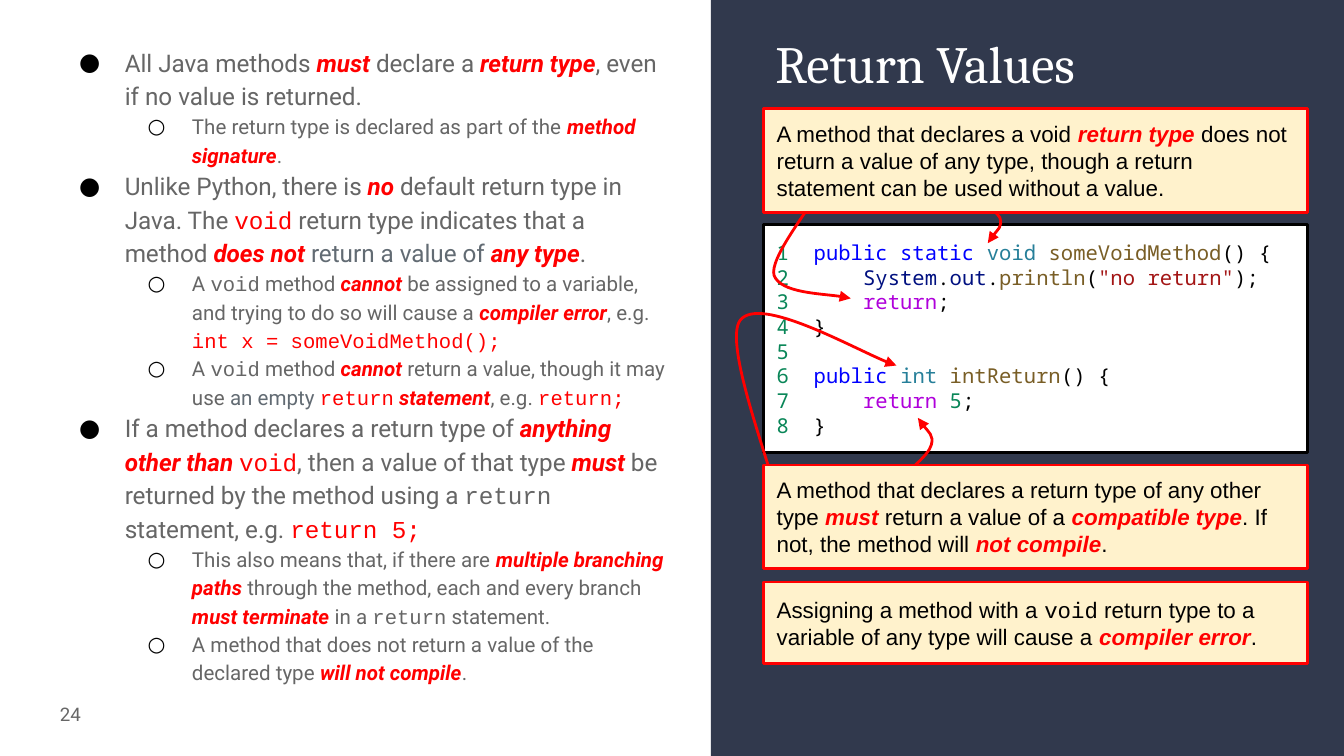
from lxml import etree
from pptx import Presentation
from pptx.dml.color import RGBColor
from pptx.enum.shapes import MSO_SHAPE
from pptx.enum.text import MSO_ANCHOR, MSO_AUTO_SIZE, PP_ALIGN
from pptx.oxml.ns import qn
from pptx.util import Inches, Pt

RECTANGLE = MSO_SHAPE.RECTANGLE
TOP, MIDDLE = MSO_ANCHOR.TOP, MSO_ANCHOR.MIDDLE
LEFT, RIGHT = PP_ALIGN.LEFT, PP_ALIGN.RIGHT
NO_AUTOFIT = MSO_AUTO_SIZE.NONE

WHITE = RGBColor(0xFF, 0xFF, 0xFF)
BLACK = RGBColor(0x00, 0x00, 0x00)
RED = RGBColor(0xFF, 0x00, 0x00)
GRAY = RGBColor(0x66, 0x66, 0x66)
SLATE = RGBColor(0x62, 0x6B, 0x73)
NAVY = RGBColor(0x31, 0x39, 0x4D)
CREAM = RGBColor(0xFF, 0xF2, 0xCC)
# Syntax colours
KEYWORD = RGBColor(0x00, 0x00, 0xFF)
TYPE = RGBColor(0x26, 0x7F, 0x99)
METHOD = RGBColor(0x79, 0x5E, 0x26)
NUMBER = RGBColor(0x09, 0x86, 0x58)
VARIABLE = RGBColor(0x00, 0x10, 0x80)
STRING = RGBColor(0xA3, 0x15, 0x15)
CONTROL = RGBColor(0xAF, 0x00, 0xDB)

TITLE_FONT, BODY_FONT, NOTE_FONT = "Cambria", "Roboto", "Arial"
INLINE_CODE_FONT, CODE_FONT = "Courier New", "Noto Sans Mono"

# Inline styles; a plain string is ordinary text
EM, CODE, RED_CODE, SOFT = "em", "code", "red code", "soft"

# Bullet level: marker, text indent, hanging indent, size
LEVELS = [("●", 0.5, -0.34, 13), ("○", 1, -0.33, 11)]

BULLETS = [
    (0, ["All Java methods ", ("must ", EM), "declare a ", ("return type", EM),
         ", even if no value is returned."]),
    (1, ["The return type is declared as part of the ",
         ("method signature", EM), "."]),
    (0, ["Unlike Python, there is ", ("no ", EM),
         "default return type in Java. The ", ("void", RED_CODE),
         " return type indicates that a method ", ("does not ", EM),
         ("return a value of ", SOFT), ("any type", EM), "."]),
    (1, ["A ", ("void", CODE), " method ", ("cannot ", EM),
         "be assigned to a variable, and trying to do so will cause a ",
         ("compiler error", EM), ", e.g. ",
         ("int x = someVoidMethod();", RED_CODE)]),
    (1, ["A ", ("void", CODE), " method ", ("cannot ", EM),
         "return a value, though it may use ", ("an empty ", SOFT),
         ("return", RED_CODE), (" statement", EM), ", e.g. ",
         ("return;", RED_CODE)]),
    (0, ["If a method declares a return type of ",
         ("anything other than ", EM), ("void", RED_CODE),
         ", then a value of that type ", ("must ", EM),
         "be returned by the method using a ", ("return", CODE),
         " statement, e.g. ", ("return 5;", RED_CODE)]),
    (1, ["This also means that, if there are ",
         ("multiple branching paths ", EM),
         "through the method, each and every branch ",
         ("must terminate ", EM), "in a ", ("return", CODE), " statement."]),
    (1, ["A method that does not return a value of the declared type ",
         ("will not compile", EM), "."]),
]

CODE_LINES = [
    [("public static ", KEYWORD), ("void ", TYPE),
     ("someVoidMethod", METHOD), ("() {", BLACK)],
    [("    System", VARIABLE), (".", BLACK), ("out", VARIABLE), (".", BLACK),
     ("println", METHOD), ("(", BLACK), ('"no return"', STRING),
     (");", BLACK)],
    [("    return", CONTROL), (";", BLACK)],
    [("}", BLACK)],
    [],
    [("public ", KEYWORD), ("int ", TYPE), ("intReturn", METHOD),
     ("() {", BLACK)],
    [("    return ", CONTROL), ("5", NUMBER), (";", BLACK)],
    [("}", BLACK)],
]

VOID_NOTE = ["A method that declares a void ", ("return type ", EM),
             "does not return a value of any type, though a return "
             "statement can be used without a value."]
TYPED_NOTE = ["A method that declares a return type of any other type ",
              ("must ", EM), "return a value of a ", ("compatible type", EM),
              ". If not, the method will ", ("not compile", EM), "."]
ASSIGN_NOTE = ["Assigning a method with a ", ("void", CODE),
               " return type to a variable of any type will cause a ",
               ("compiler error", EM), "."]

# Curved arrows: start, then two control points and an end per curve
VOID_ARROWS = [
    [(7.18, 1.44), (7.23, 1.47), (7.41, 1.56), (7.44, 1.62),
     (7.46, 1.69), (7.36, 1.78), (7.35, 1.81)],
    [(6.06, 1.47), (6.01, 1.57), (5.72, 1.93), (5.76, 2.05),
     (5.81, 2.18), (6.23, 2.19), (6.33, 2.22)],
]
TYPED_ARROWS = [
    [(5.75, 3.88), (5.76, 3.86), (5.84, 4.02), (5.8, 3.77),
     (5.76, 3.52), (5.37, 2.55), (5.51, 2.38),
     (5.66, 2.2), (6.47, 2.66), (6.67, 2.72)],
    [(6.71, 3.55), (6.75, 3.51), (6.91, 3.39), (6.93, 3.31),
     (6.95, 3.24), (6.85, 3.15), (6.83, 3.11)],
]
SLIDE_WIDTH = Inches(10)
SLIDE_HEIGHT = SLIDE_WIDTH * 9 // 16
NOTE_LEFT, NOTE_WIDTH = 5.68, 4.05


def add_run(paragraph, text, font, size, color):
    run = paragraph.add_run()
    run.text = text
    run.font.name = font
    run.font.size = Pt(size)
    run.font.color.rgb = color
    return run


def add_rich_text(paragraph, pieces, font, size, color):
    for piece in pieces:
        text, style = (piece, None) if isinstance(piece, str) else piece
        is_code = style in (CODE, RED_CODE)
        shade = {EM: RED, RED_CODE: RED, SOFT: SLATE}.get(style, color)
        run = add_run(paragraph, text, INLINE_CODE_FONT if is_code else font,
                      size, shade)
        if style == EM:
            run.font.bold = run.font.italic = True


def set_frame(frame, anchor):
    frame.word_wrap = True
    frame.auto_size = NO_AUTOFIT
    frame.vertical_anchor = anchor
    frame.margin_left = frame.margin_right = Inches(0.1)
    frame.margin_top = frame.margin_bottom = Inches(0.1)


def add_text_area(slide, left, top, width, height):
    area = slide.shapes.add_textbox(Inches(left), Inches(top),
                                    Inches(width), Inches(height))
    set_frame(area.text_frame, MIDDLE)
    return area.text_frame


def add_panel(slide, left, top, width, height, fill, border=None):
    panel = slide.shapes.add_shape(RECTANGLE, Inches(left), Inches(top),
                                   Inches(width), Inches(height))
    panel.shadow.inherit = False
    panel.fill.solid()
    panel.fill.fore_color.rgb = fill
    if border is None:
        panel.line.fill.background()
    else:
        panel.line.color.rgb = border
        panel.line.width = Pt(1.5)
    return panel.text_frame


def add_title(slide, text):
    title = slide.shapes.title
    title.left, title.top = Inches(5.67), Inches(0.13)
    title.width, title.height = Inches(4.05), Inches(0.7)
    set_frame(title.text_frame, TOP)
    title.text_frame.text = text
    paragraph = title.text_frame.paragraphs[0]
    paragraph.alignment = LEFT
    font = paragraph.runs[0].font
    font.name, font.size, font.color.rgb = TITLE_FONT, Pt(28), WHITE


def set_bullet(paragraph, marker, indent, hanging):
    properties = paragraph._p.get_or_add_pPr()
    properties.set("marL", str(Inches(indent)))
    properties.set("indent", str(Inches(hanging)))
    color = etree.SubElement(properties, qn("a:buClr"))
    etree.SubElement(color, qn("a:srgbClr")).set("val", str(BLACK))
    etree.SubElement(properties, qn("a:buFont")).set("typeface", BODY_FONT)
    etree.SubElement(properties, qn("a:buChar")).set("char", marker)


def add_bullets(slide):
    frame = add_text_area(slide, 0.33, 0.22, 4.75, 4.98)
    for index, (level, pieces) in enumerate(BULLETS):
        paragraph = frame.add_paragraph() if index else frame.paragraphs[0]
        marker, indent, hanging, size = LEVELS[level]
        set_bullet(paragraph, marker, indent, hanging)
        paragraph.level = level
        paragraph.line_spacing = 1.15
        add_rich_text(paragraph, pieces, BODY_FONT, size, GRAY)


def add_code(slide):
    frame = add_panel(slide, NOTE_LEFT, 1.67, NOTE_WIDTH, 1.7, WHITE, BLACK)
    set_frame(frame, MIDDLE)
    for number, tokens in enumerate(CODE_LINES, start=1):
        paragraph = frame.paragraphs[0] if number == 1 else frame.add_paragraph()
        paragraph.alignment = LEFT
        label = f"{number}  " if tokens else str(number)
        for text, color in [(label, NUMBER)] + tokens:
            add_run(paragraph, text, CODE_FONT, 11, color)


def add_note(slide, top, height, pieces):
    frame = add_panel(slide, NOTE_LEFT, top, NOTE_WIDTH, height, CREAM, RED)
    set_frame(frame, MIDDLE)
    frame.paragraphs[0].alignment = LEFT
    add_rich_text(frame.paragraphs[0], pieces, NOTE_FONT, 12, BLACK)


def add_curved_arrow(slide, points):
    start, *others = [(Inches(x), Inches(y)) for x, y in points]
    builder = slide.shapes.build_freeform(*start)
    builder.add_line_segments(others, close=False)
    arrow = builder.convert_to_shape()
    arrow.shadow.inherit = False
    arrow.fill.background()
    arrow.line.color.rgb = RED
    arrow.line.width = Pt(1.5)
    # Turn every three segments into one Bezier curve
    outline = next(arrow._element.iter(qn("a:path")))
    for index, segment in enumerate(outline.findall(qn("a:lnTo"))):
        if index % 3 == 0:
            curve = etree.SubElement(outline, qn("a:cubicBezTo"))
        curve.append(segment[0])
        outline.remove(segment)
    line = arrow._element.spPr.find(qn("a:ln"))
    etree.SubElement(line, qn("a:tailEnd")).set("type", "triangle")


def main():
    deck = Presentation()
    deck.slide_width, deck.slide_height = SLIDE_WIDTH, SLIDE_HEIGHT
    slide = deck.slides.add_slide(deck.slide_layouts[5])

    # Dark right half, moved behind the title
    add_panel(slide, 5.29, 0, 4.71, SLIDE_HEIGHT.inches if hasattr(
        SLIDE_HEIGHT, "inches") else SLIDE_HEIGHT / Inches(1), NAVY)
    tree = slide.shapes._spTree
    tree.append(slide.shapes.title._element)
    add_title(slide, "Return Values")

    # Left half: page number and bullets
    page = add_text_area(slide, 0.1, 5.1, 0.6, 0.43).paragraphs[0]
    page.alignment = RIGHT
    add_run(page, "24", BODY_FONT, 10, GRAY)
    add_bullets(slide)

    # Code with notes; each note covers the tails of its arrows
    add_code(slide)
    add_note(slide, 4.33, 0.61, ASSIGN_NOTE)
    for top, pieces, arrows in [(0.81, VOID_NOTE, VOID_ARROWS),
                                (3.46, TYPED_NOTE, TYPED_ARROWS)]:
        for points in arrows:
            add_curved_arrow(slide, points)
        add_note(slide, top, 0.77, pieces)

    deck.save("out.pptx")


if __name__ == "__main__":
    main()
